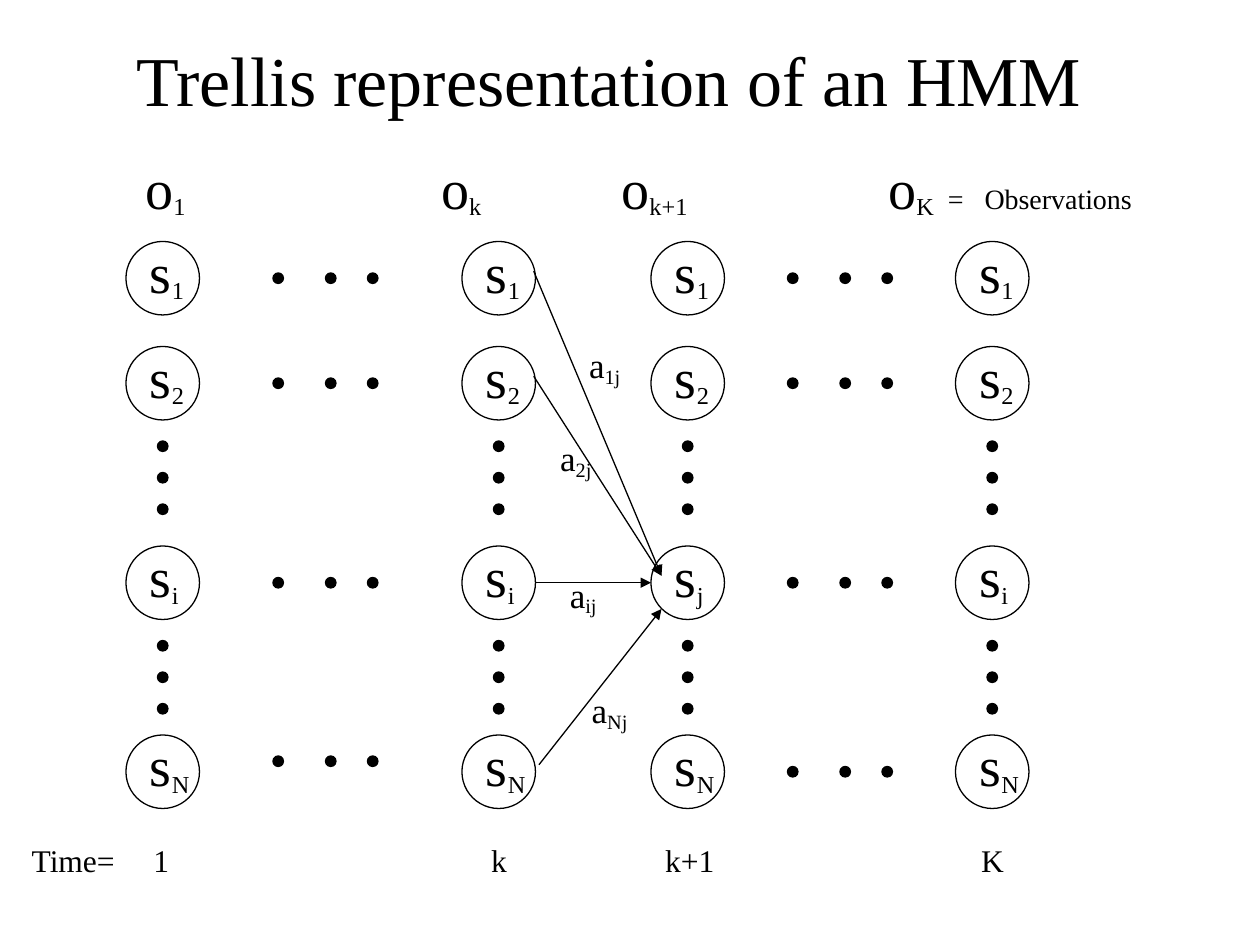
import pptx
import pptx.util
import pptx.dml.color
import pptx.enum.shapes
import pptx.enum.text
import pptx.oxml
import pptx.oxml.ns
from lxml import etree

Pt = pptx.util.Pt
qn = pptx.oxml.ns.qn
COLORS = {"ink": "000000"}
FONT = "Times New Roman"
SUB = -16000  # subscript offset in thousandths of a percent

# Content: runs are (text, size, baseline)
TITLE = "Trellis representation of an HMM"
# (left, subscripts of the states)
COLUMNS = [(72, "12iN"), (264, "12iN"), (372, "12jN"), (546, "12iN")]
ROW_TOPS = [138, 198, 312, 420]
LABEL_WIDTHS = {"1": 35, "2": 35, "i": 31.5, "j": 31.5, "N": 38}
COLUMN_DOT_TOPS = [252, 270, 288, 366, 384, 402]
# (left, tops) of the horizontal ellipses between columns
ROW_DOTS = [(450, [156, 216, 330, 438]), (156, [156, 216, 330, 432])]
ROW_DOT_STEPS = [0, 30, 54]
ARROWS = [
    (305, 155, 378, 329),
    (305, 215, 378, 329),
    (306, 333, 372, 333),
    (308, 437, 378, 348),
]
# (subscript, left, top, width)
TRANSITIONS = [("1j", 329.5, 193, 34), ("2j", 313, 246, 34),
               ("ij", 318.5, 324, 31.5), ("Nj", 331, 390, 36)]
TIMES = [("Time=\t1\tk\tk+1\tK", 18, 0)]
TIME_TABS = [69.5, 262.5, 362, 542.5]
OBSERVATIONS = []
for index in ("1", "k", "k+1", "K"):
    OBSERVATIONS += [("\to", 32, 0), (index, 24, SUB)]
OBSERVATIONS.append(("\t=\tObservations", 16, 0))
OBSERVATION_TABS = [16, 185, 288, 440.5, 474.5, 495.5]

NODE, DOT, LINE = 42, 6, 0.75


def ink():
    return pptx.dml.color.RGBColor.from_string(COLORS["ink"])


def add_circle(shapes, left, top, size, filled=False):
    shape = shapes.add_shape(pptx.enum.shapes.MSO_SHAPE.OVAL,
                             Pt(left), Pt(top), Pt(size), Pt(size))
    shape.shadow.inherit = False
    if filled:
        shape.fill.solid()
        shape.fill.fore_color.rgb = ink()
    else:
        shape.fill.background()
    shape.line.color.rgb = ink()
    shape.line.width = Pt(LINE)


def add_text(shapes, box, runs, wrap=False, tabs=(), **paragraph_format):
    tf = shapes.add_textbox(*map(Pt, box)).text_frame
    tf.word_wrap = wrap
    tf.auto_size = pptx.enum.text.MSO_AUTO_SIZE.SHAPE_TO_FIT_TEXT
    p = tf.paragraphs[0]
    if tabs:
        tab_list = etree.SubElement(p._p.get_or_add_pPr(), qn("a:tabLst"))
        for position in tabs:
            etree.SubElement(tab_list, qn("a:tab"), pos=str(int(Pt(position))), algn="l")
    for name, value in paragraph_format.items():
        setattr(p, name, value)
    for text, size, baseline in runs:
        r = p.add_run()
        r.text = text
        for name, value in {"name": FONT, "size": Pt(size)}.items():
            setattr(r.font, name, value)
        r.font.color.rgb = ink()
        if baseline:
            r._r.get_or_add_rPr().set("baseline", str(baseline))
    return tf


def add_arrow(shapes, x1, y1, x2, y2):
    arrow = shapes.add_connector(pptx.enum.shapes.MSO_CONNECTOR.STRAIGHT,
                                 Pt(x1), Pt(y1), Pt(x2), Pt(y2))
    arrow.line.color.rgb = ink()
    arrow.line.width = Pt(LINE)
    properties = arrow._element.spPr
    etree.SubElement(properties.find(qn("a:ln")), qn("a:tailEnd"), type="triangle")
    etree.SubElement(properties, qn("a:effectLst"))


def main():
    prs = pptx.Presentation()
    prs.slide_width, prs.slide_height = Pt(720), Pt(540)
    s = prs.slides.add_slide(prs.slide_layouts[6])

    # State columns with their vertical dots
    for left, subscripts in COLUMNS:
        column = s.shapes.add_group_shape().shapes
        for top, subscript in zip(ROW_TOPS, subscripts):
            add_circle(column, left, top, NODE)
            add_text(column, (left + 6.6, top - 6, LABEL_WIDTHS[subscript], 46),
                     [("s", 32, 0), (subscript, 24, SUB)])
        for top in COLUMN_DOT_TOPS:
            add_circle(column, left + (NODE - DOT) / 2, top, DOT, filled=True)

    # Horizontal dots between columns
    for left, tops in ROW_DOTS:
        for top in tops:
            dots = s.shapes.add_group_shape().shapes
            for step in ROW_DOT_STEPS:
                add_circle(dots, left + step, top, DOT, filled=True)

    # Transitions into state j
    for ends in ARROWS:
        add_arrow(s.shapes, *ends)
    for subscript, left, top, width in TRANSITIONS:
        add_text(s.shapes, (left, top, width, 33),
                 [("a", 20, 0), (subscript, 20, SUB)])

    # Time axis, observations and title
    add_text(s.shapes, (11, 477, 572, 29), TIMES, wrap=True, tabs=TIME_TABS)
    add_text(s.shapes, (60, 84, 660, 46), OBSERVATIONS, wrap=True, tabs=OBSERVATION_TABS)
    tf = add_text(s.shapes, (42, 0, 612, 90), [(TITLE, 40, 0)], wrap=True,
                  alignment=pptx.enum.text.PP_ALIGN.CENTER)
    tf.auto_size = pptx.enum.text.MSO_AUTO_SIZE.NONE
    tf.vertical_anchor = pptx.enum.text.MSO_ANCHOR.MIDDLE

    prs.save("out.pptx")


if __name__ == "__main__":
    main()
